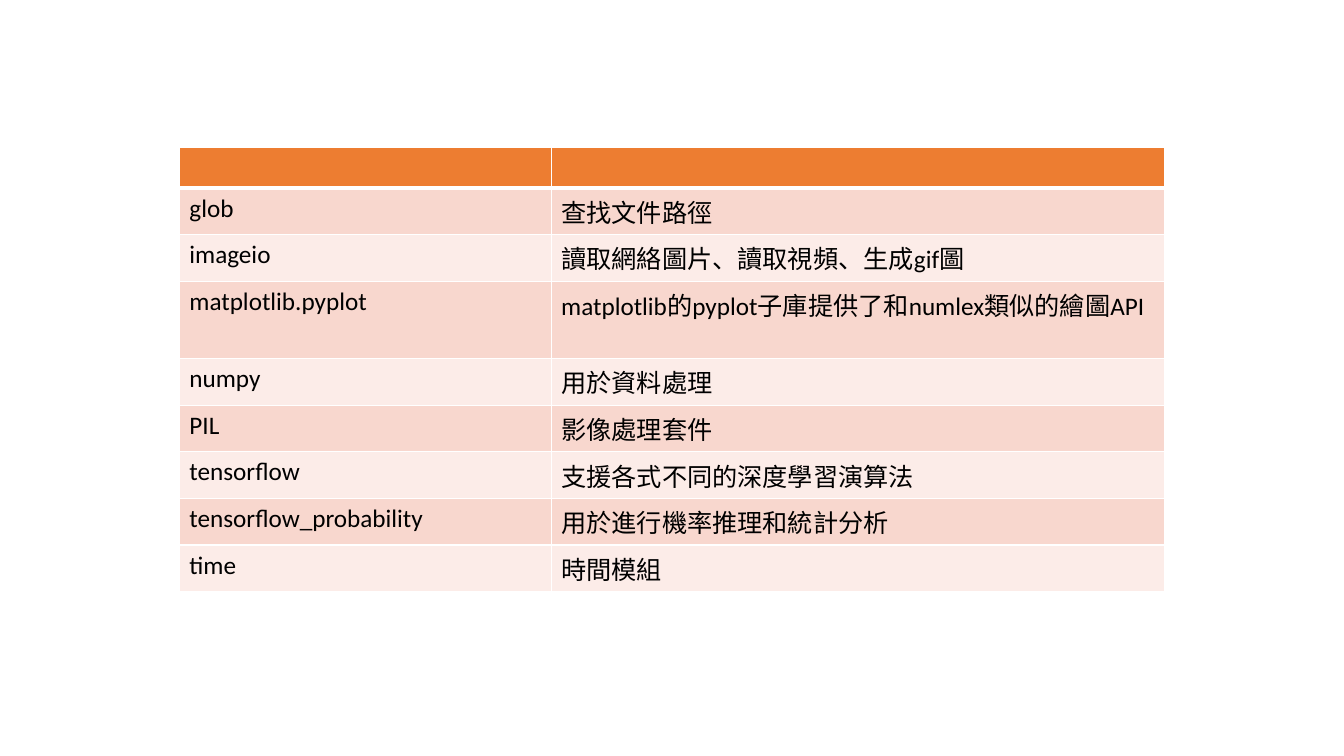
from pptx import Presentation
from pptx.dml.color import RGBColor as RGB
from pptx.oxml.ns import qn
from pptx.util import Cm, Pt
from lxml.etree import SubElement

COLORS = {
    "header": "ED7D31",
    "odd": "F8D7CE",
    "even": "FCECE8",
    "border": "FFFFFF",
    "text": "000000",
}
FONT = "Calibri"
MODULES = [
    ("glob", "查找文件路徑"),
    ("imageio", "讀取網絡圖片、讀取視頻、生成gif圖"),
    ("matplotlib.pyplot", "matplotlib的pyplot子庫提供了和numlex類似的繪圖API"),
    ("numpy", "用於資料處理"),
    ("PIL", "影像處理套件"),
    ("tensorflow", "支援各式不同的深度學習演算法"),
    ("tensorflow_probability", "用於進行機率推理和統計分析"),
    ("time", "時間模組"),
]


def set_borders(cell, widths):
    """Draw the cell edges; widths maps L, R, T, B to points."""
    tc_pr = cell._tc.get_or_add_tcPr()
    for side in "LRTB":
        ln = SubElement(tc_pr, qn(f"a:ln{side}"), w=str(Pt(widths[side])))
        fill = SubElement(ln, qn("a:solidFill"))
        SubElement(fill, qn("a:srgbClr"), val=COLORS["border"])


def format_cell(cell, text, row):
    # Heavy rule between the header and the first module
    set_borders(cell, {"L": 1, "R": 1, "T": 3 if row == 1 else 1,
                       "B": 3 if row == 0 else 1})
    band = "header" if row == 0 else "odd" if row % 2 else "even"
    cell.fill.solid()
    cell.fill.fore_color.rgb = RGB.from_string(COLORS[band])

    cell.text_frame.text = text
    p = cell.text_frame.paragraphs[0]
    p.font.size = Pt(18)
    for r in p.runs:
        r.font.name = FONT
        r.font.size = Pt(18)
        r.font.color.rgb = RGB.from_string(COLORS["text"])


def add_module_table(s, left, top, width, height):
    rows = [("", "")] + MODULES
    table = s.shapes.add_table(len(rows), 2, left, top, width, height).table
    name_width = Cm(9.37)
    table.columns[0].width = name_width
    table.columns[1].width = width - name_width
    for i, texts in enumerate(rows):
        for j, text in enumerate(texts):
            format_cell(table.cell(i, j), text, i)


def main():
    prs = Presentation()
    prs.slide_width, prs.slide_height = Cm(33.87), Cm(19.05)
    s = prs.slides.add_slide(prs.slide_layouts[6])

    # Table of modules and what they are for
    add_module_table(s, Cm(4.52), Cm(3.71), Cm(24.84), Cm(9.27))
    prs.save("out.pptx")


if __name__ == "__main__":
    main()
